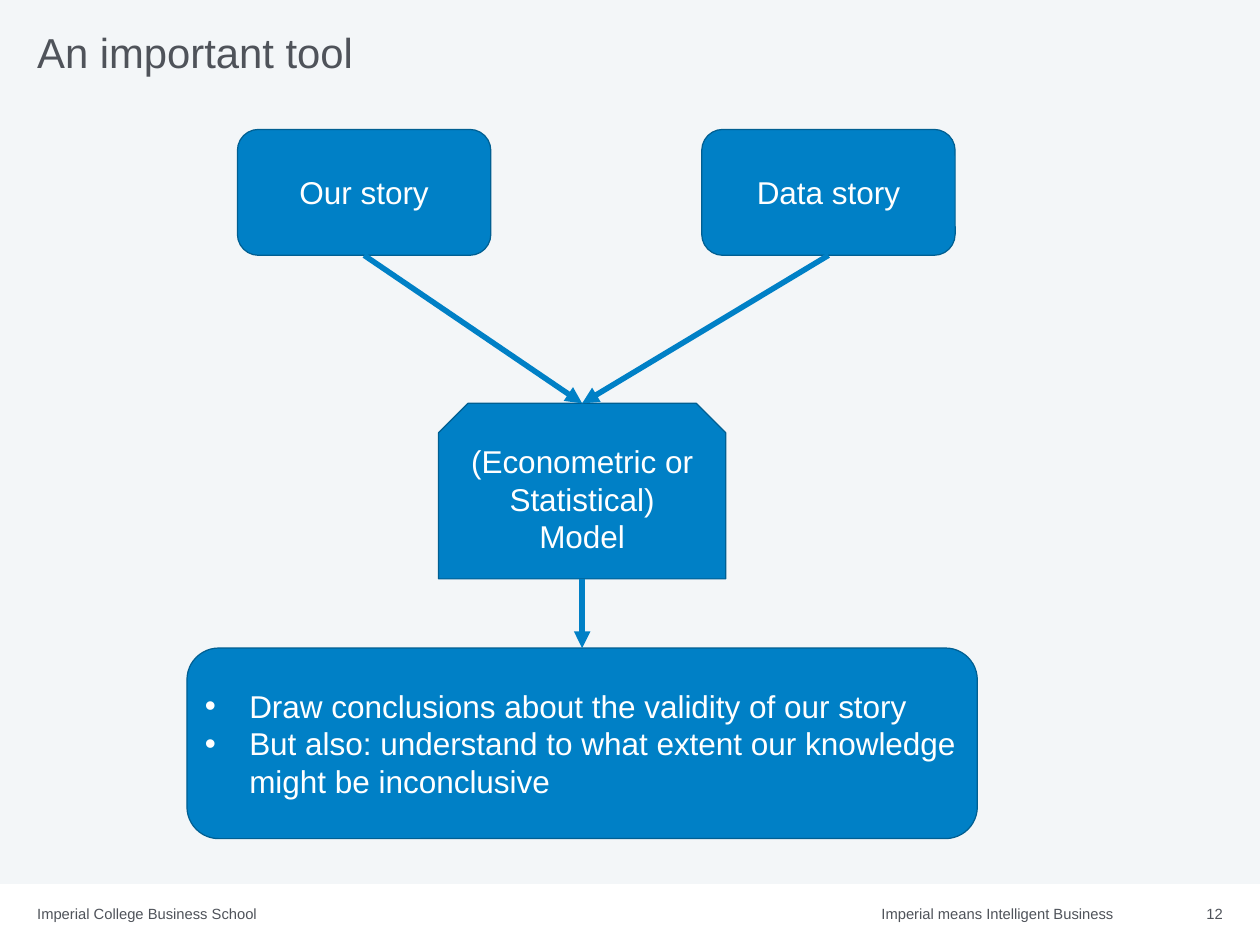
from lxml import etree
from pptx import Presentation
from pptx.dml.color import RGBColor
from pptx.enum.shapes import MSO_CONNECTOR as Connector, MSO_SHAPE as Shape
from pptx.enum.text import MSO_ANCHOR as Anchor, MSO_AUTO_SIZE as AutoSize, PP_ALIGN as Align
from pptx.oxml.ns import qn
from pptx.util import Inches, Pt

COLORS = {
    "panel": "F3F6F8",
    "text": "4F535A",
    "box": "0080C6",
    "edge": "005F92",
    "white": "FFFFFF",
}
SLIDE_W, SLIDE_H = 14.22, 10.66
PANEL_H = 9.97
MARGIN = 0.42


def color(name):
    return RGBColor.from_string(COLORS[name])


def add_bullet(paragraph, indent):
    properties = paragraph._p.get_or_add_pPr()
    properties.set("marL", str(Inches(indent)))
    properties.set("indent", str(-Inches(indent)))
    etree.SubElement(properties, qn("a:buFont"), typeface="Arial")
    etree.SubElement(properties, qn("a:buChar"), char="•")


def write(frame, *lines, size=25.6, ink="white", align=Align.CENTER,
          anchor=Anchor.MIDDLE, inset=None, spacing=None, bullet=None):
    frame.word_wrap = True
    frame.auto_size = AutoSize.NONE
    frame.vertical_anchor = anchor
    if inset is not None:
        frame.margin_left = frame.margin_right = Inches(inset)
        frame.margin_top = frame.margin_bottom = Inches(inset)
    for index, line in enumerate(lines):
        paragraph = frame.add_paragraph() if index else frame.paragraphs[0]
        paragraph.text = line
        paragraph.alignment = align
        if spacing:
            paragraph.line_spacing = Pt(spacing)
        if bullet:
            add_bullet(paragraph, bullet)
        font = paragraph.font
        font.name, font.size = "Arial", Pt(size)
        font.color.rgb = color(ink)


def add_box(slide, kind, left, top, width, height, fill="box", edge="edge"):
    box = slide.shapes.add_shape(kind, *map(Inches, (left, top, width, height)))
    box.shadow.inherit = False
    box.fill.solid()
    box.fill.fore_color.rgb = color(fill)
    if edge:
        box.line.color.rgb = color(edge)
        box.line.width = Pt(1)
    else:
        box.line.fill.background()
    return box


def add_arrow(slide, start, end):
    arrow = slide.shapes.add_connector(Connector.STRAIGHT, *start, *end)
    arrow.line.color.rgb = color("box")
    arrow.line.width = Pt(4.5)
    etree.SubElement(arrow.line._get_or_add_ln(), qn("a:tailEnd"), type="triangle")
    etree.SubElement(arrow._element.spPr, qn("a:effectLst"))
    return arrow


def middle_top(box):
    return box.left + box.width // 2, box.top


def middle_bottom(box):
    return box.left + box.width // 2, box.top + box.height


def add_title(slide, left, top, width, height):
    title = slide.shapes.title
    title.left, title.top = Inches(left), Inches(top)
    title.width, title.height = Inches(width), Inches(height)
    write(title.text_frame, "An important tool", size=34, ink="text",
          align=Align.LEFT, anchor=Anchor.TOP, inset=0, spacing=38)


def add_footer(slide, left, top, width, height):
    entries = [
        ("Imperial College Business School", 0, 3.83, Align.LEFT),
        ("Imperial means Intelligent Business", width - 5.06, 3.83, Align.RIGHT),
        ("12", width - 0.87, 0.87, Align.RIGHT),
    ]
    for text, offset, entry_width, align in entries:
        entry = slide.shapes.add_textbox(
            *map(Inches, (left + offset, top, entry_width, height)))
        write(entry.text_frame, text, size=12, ink="text", align=align, inset=0)


def add_diagram(slide, left, top, width, height):
    model_w, conclusions_h = 3.24, 2.15
    model = add_box(slide, Shape.SNIP_2_SAME_RECTANGLE,
                    left + (width - model_w) / 2, top + 3.09, model_w, 1.98)
    write(model.text_frame, "(Econometric or Statistical)", "Model")

    conclusions = add_box(slide, Shape.ROUNDED_RECTANGLE, left,
                          top + height - conclusions_h, width, conclusions_h)
    write(conclusions.text_frame,
          "Draw conclusions about the validity of our story",
          "But also: understand to what extent our knowledge might be inconclusive",
          align=Align.LEFT, bullet=0.5)

    for text, offset in (("Our story", 0.57), ("Data story", 5.81)):
        story = add_box(slide, Shape.ROUNDED_RECTANGLE, left + offset, top, 2.86, 1.42)
        write(story.text_frame, text)
        arrow = add_arrow(slide, middle_bottom(story), middle_top(model))
        arrow.begin_connect(story, 2)

    arrow = add_arrow(slide, middle_bottom(model), middle_top(conclusions))
    arrow.end_connect(conclusions, 0)


def main():
    deck = Presentation()
    deck.slide_width, deck.slide_height = Inches(SLIDE_W), Inches(SLIDE_H)
    slide = deck.slides.add_slide(deck.slide_layouts[5])
    panel = add_box(slide, Shape.RECTANGLE, 0, 0, SLIDE_W, PANEL_H, "panel", None)
    slide.shapes.title._element.addprevious(panel._element)
    content_w = SLIDE_W - 2 * MARGIN
    add_title(slide, MARGIN, 0.34, content_w, 0.96)
    add_diagram(slide, 2.11, 1.46, 8.92, 8)
    add_footer(slide, MARGIN, 10.21, content_w, 0.2)
    deck.save("out.pptx")


if __name__ == "__main__":
    main()
